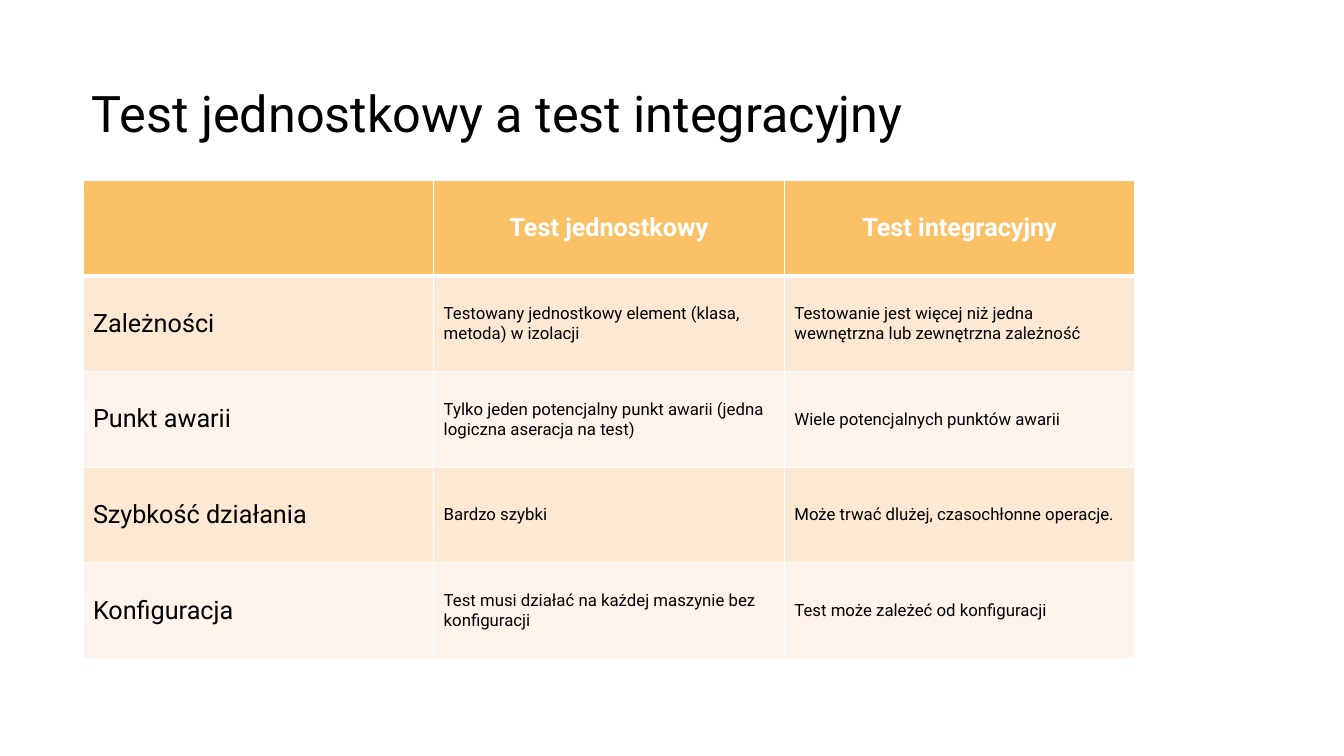
from lxml.etree import SubElement
from pptx import Presentation
from pptx.dml.color import RGBColor
from pptx.enum.text import MSO_ANCHOR as Anchor, PP_ALIGN as Align
from pptx.oxml.ns import qn
from pptx.util import Pt

EMU_PER_PX = 9525
WHITE, BLACK = "FFFFFF", "000000"
HEADER_FILL = "FAC167"
BAND_FILLS = ("FDE9D3", "FEF4EB")

ROWS = [
    ("", "Test jednostkowy", "Test integracyjny"),
    ("Zależności",
     "Testowany jednostkowy element (klasa, metoda) w izolacji",
     "Testowanie jest więcej niż jedna wewnętrzna lub zewnętrzna zależność"),
    ("Punkt awarii",
     "Tylko jeden potencjalny punkt awarii (jedna logiczna aseracja na test)",
     "Wiele potencjalnych punktów awarii"),
    ("Szybkość działania",
     "Bardzo szybki",
     "Może trwać dlużej, czasochłonne operacje."),
    ("Konfiguracja",
     "Test musi działać na każdej maszynie bez konfiguracji",
     "Test może zależeć od konfiguracji"),
]


def px(length):
    return length * EMU_PER_PX


def color(value):
    return RGBColor.from_string(value)


class SlideBuilder:
    font = "Roboto"

    def __init__(self, page):
        self.page = page

    def add_run(self, para, text, size, hex_color, bold=False):
        span = para.add_run()
        span.text = text
        span.font.name = self.font
        span.font.size = Pt(size)
        span.font.bold = bold
        span.font.color.rgb = color(hex_color)

    def title(self, text, left, top, width, height):
        box = self.page.shapes.add_textbox(px(left), px(top), px(width), px(height))
        box.text_frame.word_wrap = True
        para = box.text_frame.paragraphs[0]
        para.line_spacing = 0.9
        para.space_before = Pt(10)
        self.add_run(para, text, 36, BLACK)

    def cell_borders(self, cell, widths):
        """Draw white borders; widths are points for each side."""
        properties = cell._tc.get_or_add_tcPr()
        for index, (side, width) in enumerate(widths.items()):
            line = SubElement(properties, qn(f"a:ln{side}"), w=str(Pt(width)))
            fill = SubElement(line, qn("a:solidFill"))
            SubElement(fill, qn("a:srgbClr"), val=WHITE)
            properties.insert(index, line)

    def table(self, rows, left, top, column_width, row_height):
        row_count, column_count = len(rows), len(rows[0])
        table = self.page.shapes.add_table(
            row_count, column_count, px(left), px(top),
            px(column_width * column_count), px(row_height * row_count)).table
        for column in table.columns:
            column.width = px(column_width)
        for row_index, texts in enumerate(rows):
            table.rows[row_index].height = px(row_height)
            for column_index, text in enumerate(texts):
                self.cell(table.cell(row_index, column_index), text,
                          row_index, column_index)

    def cell(self, cell, text, row_index, column_index):
        is_header = row_index == 0
        cell.vertical_anchor = Anchor.MIDDLE
        cell.fill.solid()
        cell.fill.fore_color.rgb = color(
            HEADER_FILL if is_header else BAND_FILLS[(row_index - 1) % 2])
        self.cell_borders(cell, {"L": 1, "R": 1, "T": 3 if row_index == 1 else 1,
                                 "B": 3 if is_header else 1})
        if text:
            para = cell.text_frame.paragraphs[0]
            para.alignment = Align.CENTER if is_header else Align.LEFT
            size = 18 if is_header or column_index == 0 else 12
            self.add_run(para, text, size, WHITE if is_header else BLACK, is_header)


def main():
    deck = Presentation()
    deck.slide_width, deck.slide_height = px(1280), px(720)
    builder = SlideBuilder(deck.slides.add_slide(deck.slide_layouts[6]))
    builder.title("Test jednostkowy a test integracyjny", 78, 80, 1126, 61)
    builder.table(ROWS, 79, 172, 334, 91)
    deck.save("out.pptx")


if __name__ == "__main__":
    main()
